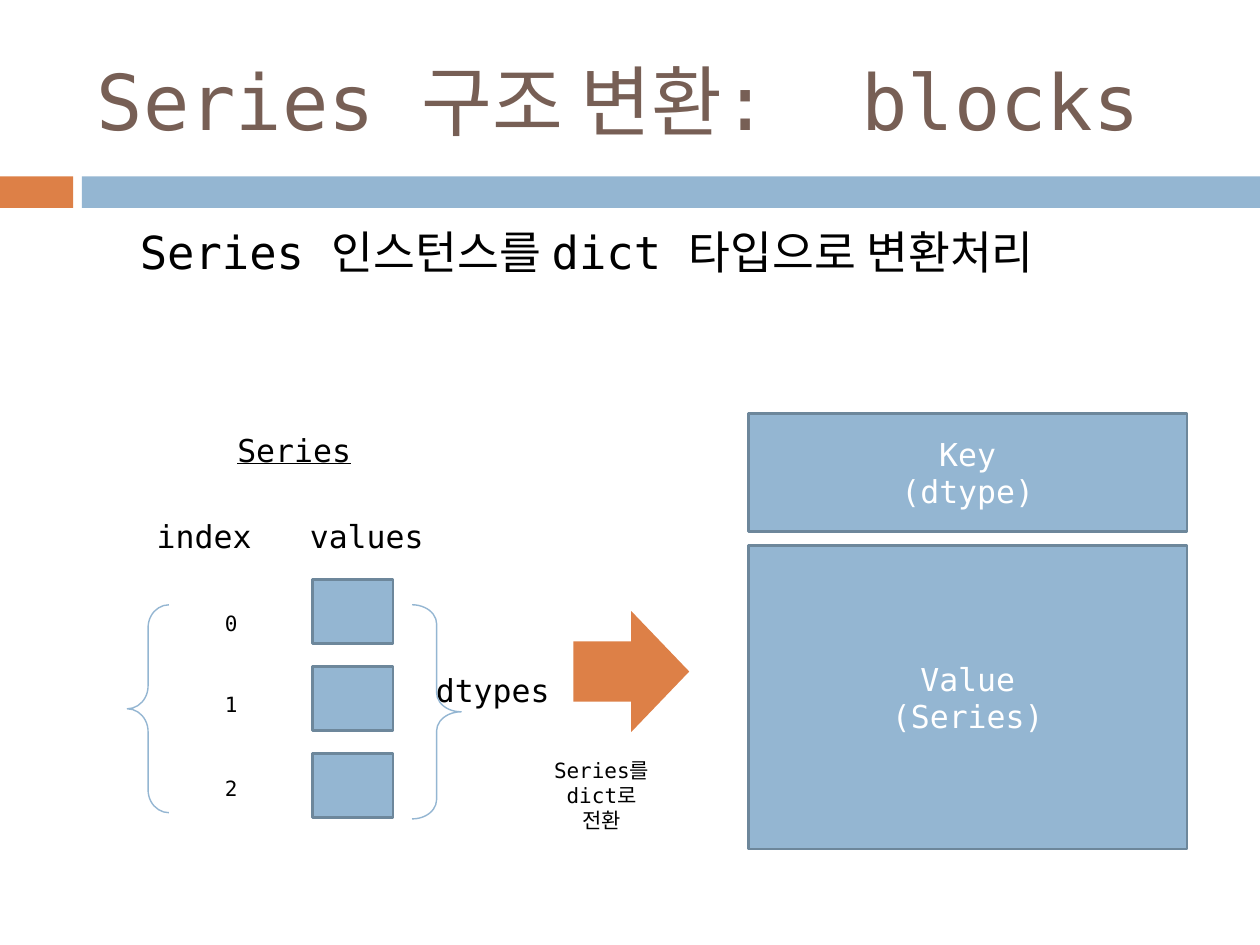
from pptx import Presentation
from pptx.dml.color import RGBColor
from pptx.enum.shapes import MSO_SHAPE
from pptx.enum.text import MSO_ANCHOR, PP_ALIGN
from pptx.util import Inches, Pt

RECTANGLE = MSO_SHAPE.RECTANGLE
RIGHT_BRACE = MSO_SHAPE.RIGHT_BRACE
RIGHT_ARROW = MSO_SHAPE.RIGHT_ARROW
TOP, MIDDLE = MSO_ANCHOR.TOP, MSO_ANCHOR.MIDDLE
LEFT, CENTER = PP_ALIGN.LEFT, PP_ALIGN.CENTER

BLUE = RGBColor(0x94, 0xB6, 0xD2)
BLUE_EDGE = RGBColor(0x6D, 0x87, 0x9B)
ORANGE = RGBColor(0xDD, 0x80, 0x47)
BROWN = RGBColor(0x77, 0x5F, 0x55)
BLACK = RGBColor(0, 0, 0)
WHITE = RGBColor(0xFF, 0xFF, 0xFF)
FONT = "DejaVu Sans Mono"


def write_text(shape, text, size=18, color=BLACK, align=CENTER, anchor=TOP,
               underline=None, space_before=0, margin_left=0.1,
               margin_right=0.1):
    """Fill a shape with text, one paragraph per line."""
    frame = shape.text_frame
    frame.word_wrap = True
    frame.vertical_anchor = anchor
    frame.margin_left = Inches(margin_left)
    frame.margin_right = Inches(margin_right)
    frame.text = text
    for paragraph in frame.paragraphs:
        paragraph.alignment = align
        paragraph.space_before = Pt(space_before)
        for run in paragraph.runs:
            font = run.font
            font.name, font.size, font.underline = FONT, Pt(size), underline
            font.color.rgb = color


def add_text(slide, box, text, **text_format):
    shape = slide.shapes.add_textbox(*map(Inches, box))
    write_text(shape, text, **text_format)


def add_shape(slide, kind, box, fill=None, line=None, line_width=1.5):
    shape = slide.shapes.add_shape(kind, *map(Inches, box))
    shape.shadow.inherit = False
    if fill is None:
        shape.fill.background()
    else:
        shape.fill.solid()
        shape.fill.fore_color.rgb = fill
    if line is None:
        shape.line.fill.background()
    else:
        shape.line.color.rgb = line
        shape.line.width = Pt(line_width)
    return shape


def add_brace(slide, box, curve, rotation=0):
    brace = add_shape(slide, RIGHT_BRACE, box, line=BLUE, line_width=0.79)
    brace.adjustments[0] = curve
    brace.rotation = rotation


def add_header(slide):
    add_shape(slide, RECTANGLE, (0, 1.4, 0.58, 0.25), fill=ORANGE)
    add_shape(slide, RECTANGLE, (0.65, 1.4, 9.35, 0.25), fill=BLUE)
    # The title needs the full width to stay on one line
    add_text(slide, (0.67, 0.25, 8.92, 1.08), "Series 구조 변환:  blocks",
             size=44, color=BROWN, align=LEFT, anchor=MIDDLE, margin_right=0)
    add_text(slide, (0.51, 1.73, 9, 1.47),
             "Series 인스턴스를 dict 타입으로 변환처리",
             size=26, align=LEFT, space_before=5.5, margin_left=0.6)


def add_series(slide):
    add_text(slide, (1.12, 3.37, 2.43, 0.4), "Series", underline=True)
    for left, top, label in ((0.98, 4.05, "index"), (2.27, 4.05, "values"),
                             (3.27, 5.28, "dtypes")):
        add_text(slide, (left, top, 1.28, 0.35), label)
    # One index label and one value cell per row
    for row, label_top in enumerate((4.8, 5.44, 6.11)):
        add_text(slide, (1.48, label_top, 0.71, 0.26), str(row), size=12)
        add_shape(slide, RECTANGLE, (2.48, 4.6 + 0.69 * row, 0.64, 0.51),
                  fill=BLUE, line=BLUE_EDGE)
    add_brace(slide, (1.01, 4.8, 0.33, 1.65), curve=0.55, rotation=180)
    add_brace(slide, (3.27, 4.8, 0.39, 1.7), curve=0.39)


def add_conversion(slide):
    add_shape(slide, RIGHT_ARROW, (4.55, 4.85, 0.92, 0.96), fill=ORANGE)
    add_text(slide, (3.56, 5.96, 2.43, 0.71), "Series를\ndict로\n전환", size=12)


def add_dict(slide):
    for top, height, label in ((3.28, 0.94, "Key\n(dtype)"),
                               (4.33, 2.41, "Value\n(Series)")):
        block = add_shape(slide, RECTANGLE, (5.94, top, 3.48, height),
                          fill=BLUE, line=BLUE_EDGE)
        write_text(block, label, color=WHITE, anchor=MIDDLE)


def main():
    presentation = Presentation()
    presentation.slide_width = Inches(10)
    presentation.slide_height = Inches(7.5)
    slide = presentation.slides.add_slide(presentation.slide_layouts[6])
    add_header(slide)
    add_series(slide)
    add_conversion(slide)
    add_dict(slide)
    presentation.save("out.pptx")


main()
